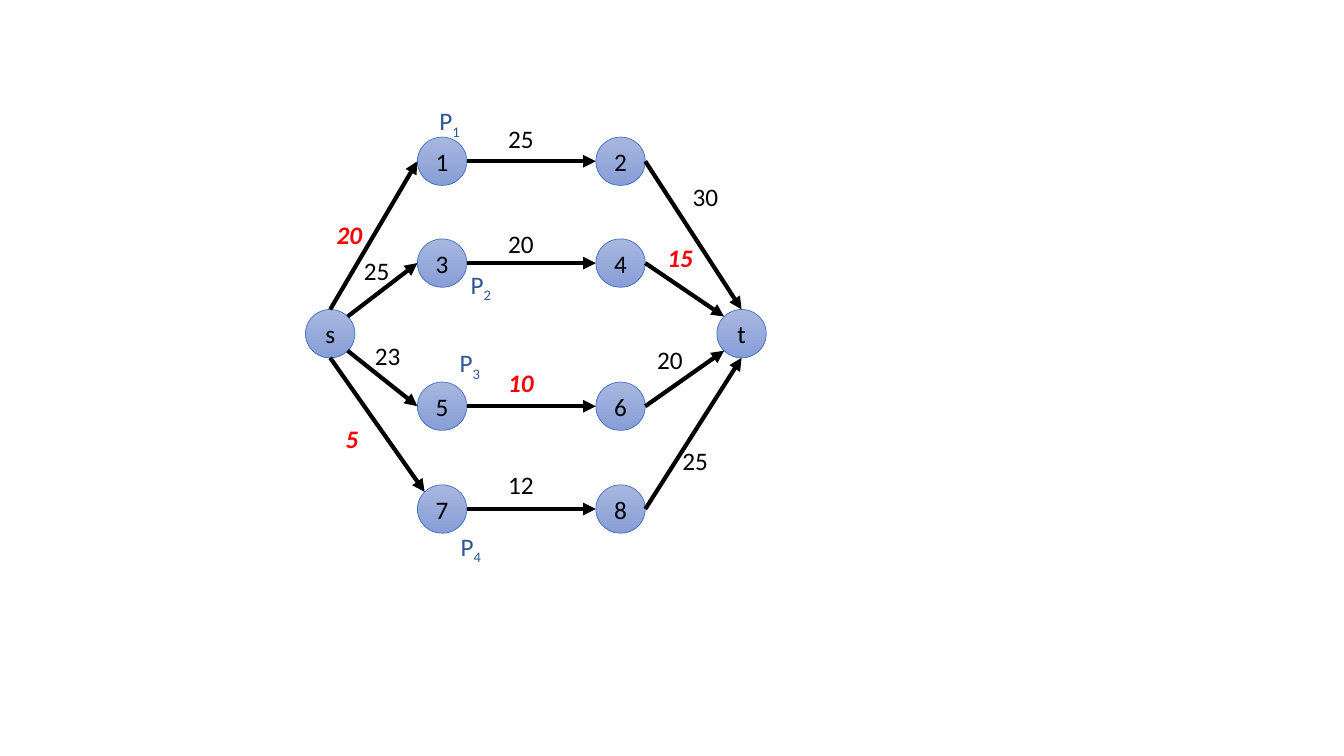
from dataclasses import dataclass
from math import cos, radians, sin

from lxml import etree
from pptx import Presentation
from pptx.dml.color import RGBColor
from pptx.enum.shapes import MSO_CONNECTOR, MSO_SHAPE
from pptx.enum.text import MSO_ANCHOR, MSO_AUTO_SIZE, PP_ALIGN
from pptx.oxml.ns import qn
from pptx.util import Inches, Pt

STRAIGHT = MSO_CONNECTOR.STRAIGHT
OVAL = MSO_SHAPE.OVAL
MIDDLE = MSO_ANCHOR.MIDDLE
FIT_TEXT = MSO_AUTO_SIZE.SHAPE_TO_FIT_TEXT
CENTER = PP_ALIGN.CENTER

BLACK = RGBColor(0x00, 0x00, 0x00)
RED = RGBColor(0xFF, 0x00, 0x00)
PATH_BLUE = RGBColor(0x2F, 0x55, 0x97)
NODE_TOP = RGBColor(0xA8, 0xB7, 0xDF)
NODE_BOTTOM = RGBColor(0x88, 0x9E, 0xD7)
NODE_LINE = RGBColor(0x44, 0x72, 0xC4)

FONT = "Calibri"
SIZE = Pt(18)
NODE_W, NODE_H = 0.49, 0.48
LABEL_W, LABEL_H = 0.69, 0.4
LEFT_X, RIGHT_X = 4.14, 5.91
ROWS = [1.36, 2.37, 3.79, 4.81]
TOP, TOP_LEFT, LEFT, BOTTOM_LEFT, BOTTOM, BOTTOM_RIGHT, RIGHT, TOP_RIGHT = range(8)


@dataclass
class Node:
    name: str
    x: float
    y: float

    def site(self, index: int) -> tuple[int, int]:
        angle = radians(90 + 45 * index)
        return (Inches(self.x + NODE_W / 2 * (1 + cos(angle))),
                Inches(self.y + NODE_H / 2 * (1 - sin(angle))))


@dataclass
class Edge:
    start: str
    start_site: int
    end: str
    end_site: int


@dataclass
class Label:
    text: str
    x: float
    y: float
    color: RGBColor = BLACK
    subscript: str = ""


NODES = [Node("s", 3.03, 3.07), Node("t", 7.11, 3.07)]
for row, y in enumerate(ROWS):
    NODES += [Node(str(2 * row + 1), LEFT_X, y), Node(str(2 * row + 2), RIGHT_X, y)]

EDGES = [
    Edge("s", TOP, "1", LEFT),
    Edge("s", TOP_RIGHT, "3", LEFT),
    Edge("s", BOTTOM_RIGHT, "5", LEFT),
    Edge("s", BOTTOM, "7", TOP_LEFT),
    *[Edge(str(n), RIGHT, str(n + 1), LEFT) for n in (1, 3, 5, 7)],
    Edge("2", RIGHT, "t", TOP),
    Edge("4", RIGHT, "t", TOP_LEFT),
    Edge("6", RIGHT, "t", BOTTOM_LEFT),
    Edge("8", RIGHT, "t", BOTTOM),
]

LABELS = [
    Label("20", 3.24, 2.13, RED),
    Label("25", 3.51, 2.48),
    Label("23", 3.62, 3.33),
    Label("5", 3.33, 4.15, RED),
    Label("25", 4.94, 1.17),
    Label("20", 4.94, 2.22),
    Label("10", 4.94, 3.59, RED),
    Label("12", 4.94, 4.61),
    Label("30", 6.77, 1.75),
    Label("15", 6.52, 2.36, RED),
    Label("20", 6.42, 3.37),
    Label("25", 6.67, 4.37),
    Label("P", 4.26, 1.0, PATH_BLUE, "1"),
    Label("P", 4.57, 2.62, PATH_BLUE, "2"),
    Label("P", 4.46, 3.4, PATH_BLUE, "3"),
    Label("P", 4.47, 5.22, PATH_BLUE, "4"),
]


def set_font(p, color: RGBColor) -> None:
    p.font.name = FONT
    p.font.size = SIZE
    p.font.color.rgb = color


def add_node(s, node: Node):
    sp = s.shapes.add_shape(OVAL, Inches(node.x), Inches(node.y),
                            Inches(NODE_W), Inches(NODE_H))
    sp.shadow.inherit = False
    sp.fill.gradient()
    sp.fill.gradient_angle = 270
    for stop, color in zip(sp.fill.gradient_stops, (NODE_TOP, NODE_BOTTOM)):
        stop.color.rgb = color
    sp.line.color.rgb = NODE_LINE
    sp.line.width = Pt(0.5)
    tf = sp.text_frame
    tf.vertical_anchor = MIDDLE
    p = tf.paragraphs[0]
    p.text = node.name
    p.alignment = CENTER
    set_font(p, BLACK)
    return sp


def add_edge(s, edge: Edge, nodes: dict[str, Node], ovals: dict) -> None:
    cxn = s.shapes.add_connector(STRAIGHT, *nodes[edge.start].site(edge.start_site),
                                 *nodes[edge.end].site(edge.end_site))
    cxn.line.color.rgb = BLACK
    cxn.line.width = Pt(3)
    ln = cxn.line._get_or_add_ln()
    etree.SubElement(ln, qn("a:tailEnd"), type="triangle")
    etree.SubElement(cxn._element.spPr, qn("a:effectLst"))
    joints = cxn._element.find(".//" + qn("p:cNvCxnSpPr"))
    for tag, name, site in (("a:stCxn", edge.start, edge.start_site),
                            ("a:endCxn", edge.end, edge.end_site)):
        etree.SubElement(joints, qn(tag), id=str(ovals[name].shape_id), idx=str(site))


def add_label(s, label: Label) -> None:
    tb = s.shapes.add_textbox(Inches(label.x), Inches(label.y),
                              Inches(LABEL_W), Inches(LABEL_H))
    tf = tb.text_frame
    tf.word_wrap = True
    tf.auto_size = FIT_TEXT
    p = tf.paragraphs[0]
    p.text = label.text
    set_font(p, label.color)
    if label.color == RED:
        p.font.bold = True
        p.font.italic = True
    if label.subscript:
        r = p.add_run()
        r.text = label.subscript
        r._r.get_or_add_rPr().set("baseline", "-25000")


def main() -> None:
    prs = Presentation()
    prs.slide_width = Inches(13.33)
    prs.slide_height = Inches(7.5)
    s = prs.slides.add_slide(prs.slide_layouts[6])
    nodes = {node.name: node for node in NODES}
    ovals = {node.name: add_node(s, node) for node in NODES}
    for edge in EDGES:
        add_edge(s, edge, nodes, ovals)
    for label in LABELS:
        add_label(s, label)
    prs.save("out.pptx")


if __name__ == "__main__":
    main()
